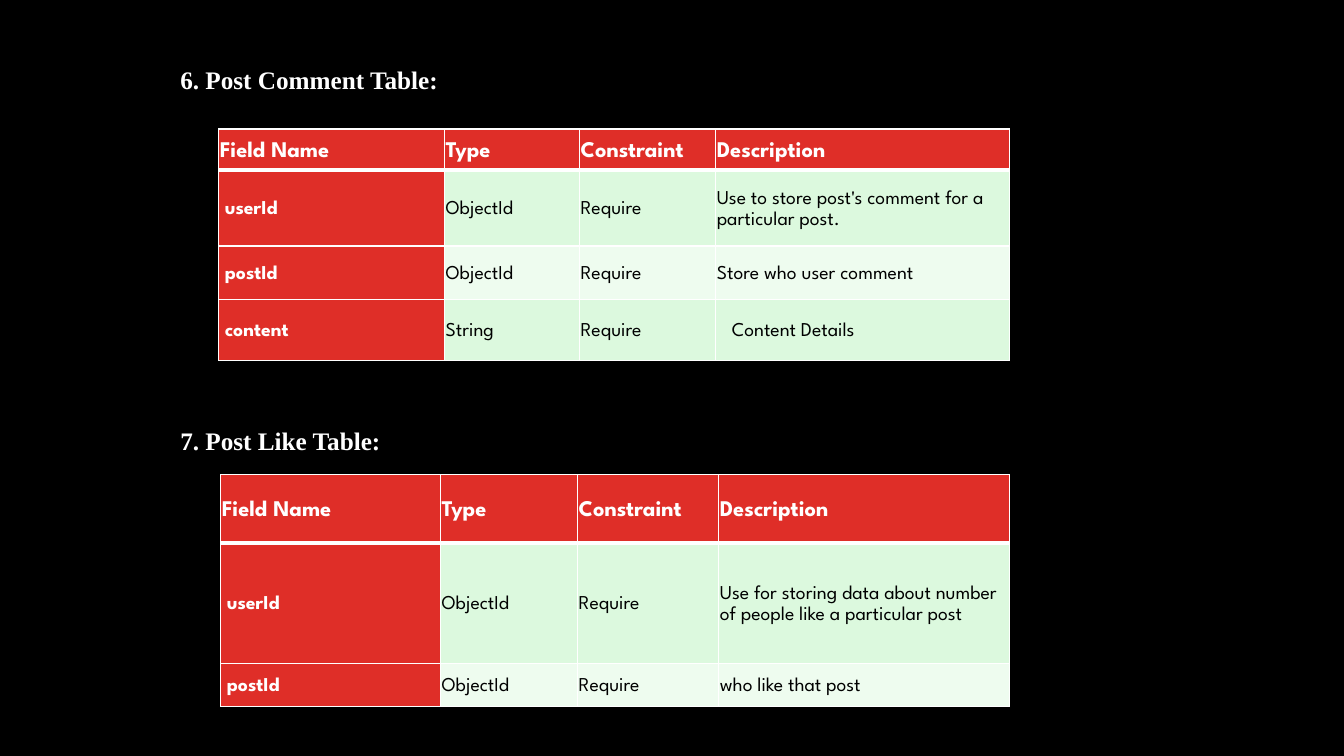
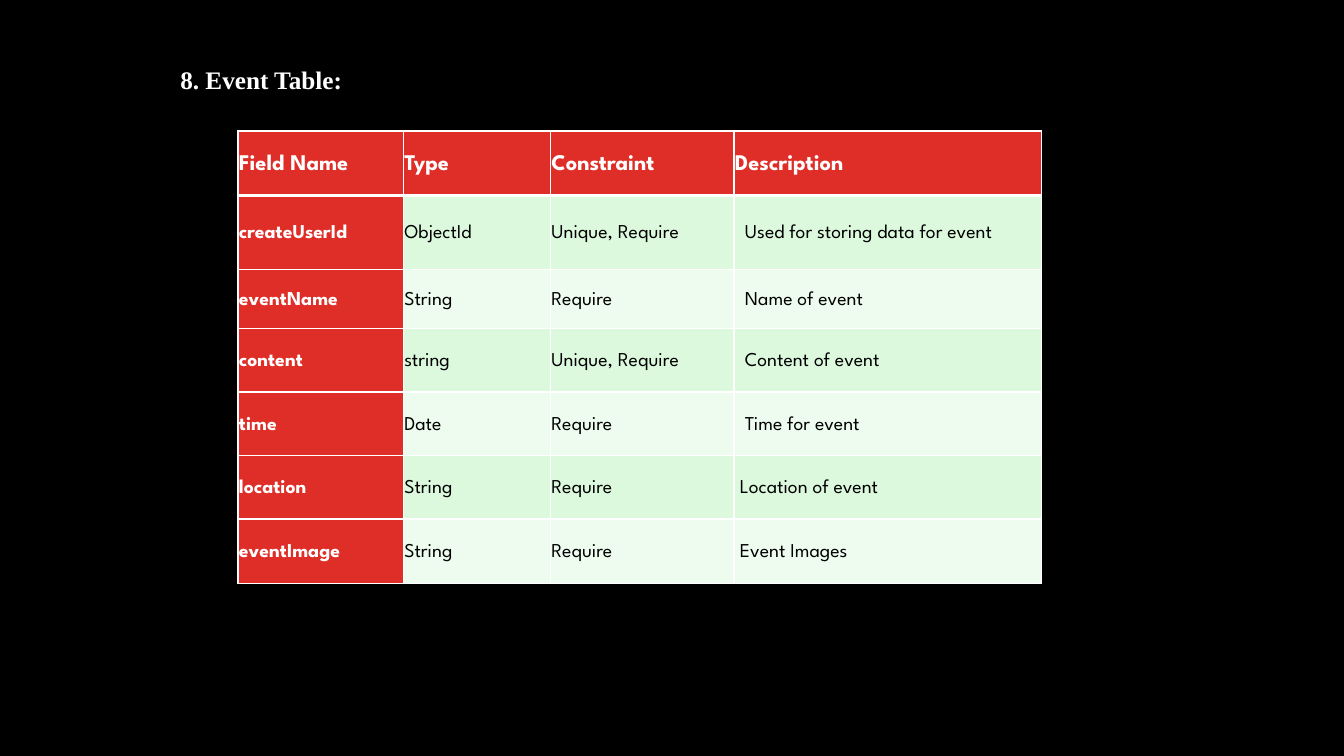
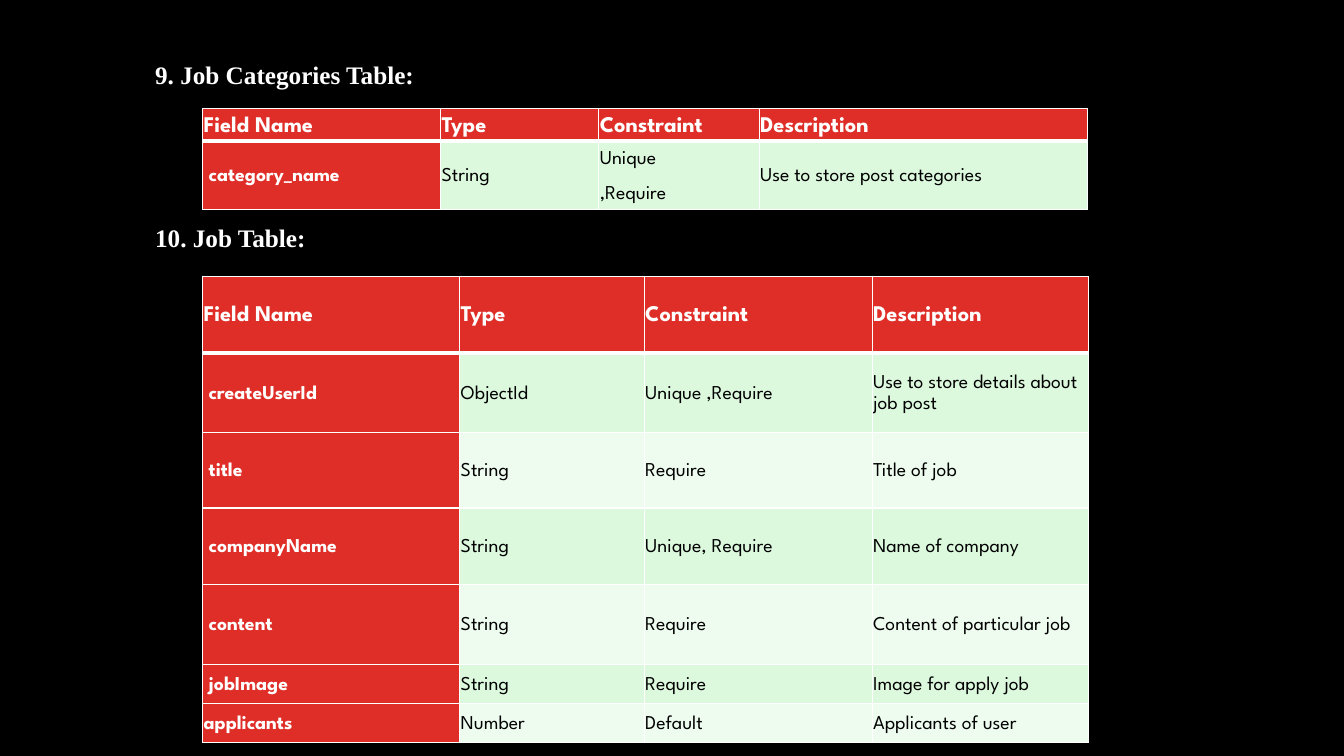
"""Build three slides that describe the fields of the database tables."""
from itertools import product

from lxml.etree import SubElement
from pptx import Presentation
from pptx.dml.color import RGBColor
from pptx.enum.text import MSO_ANCHOR, MSO_AUTO_SIZE
from pptx.oxml.ns import qn
from pptx.util import Inches, Pt

BLACK = RGBColor(0x00, 0x00, 0x00)
WHITE = RGBColor(0xFF, 0xFF, 0xFF)
RED = RGBColor(0xDF, 0x2E, 0x28)
GREEN = RGBColor(0xDC, 0xF9, 0xDE)
PALE_GREEN = RGBColor(0xEE, 0xFC, 0xEF)

TITLE_FONT = "Times New Roman"
TABLE_FONT = "League Spartan"
HEADER = ("Field Name", "Type", "Constraint", "Description")
CELL_INSET = 0.01
INDENT = 0.05


class Deck:
    def __init__(self):
        self.prs = Presentation()
        self.prs.slide_width = Inches(13.33)
        self.prs.slide_height = Inches(7.5)
        self.s = None

    def slide(self):
        self.s = self.prs.slides.add_slide(self.prs.slide_layouts[6])
        fill = self.s.background.fill
        fill.solid()
        fill.fore_color.rgb = BLACK

    def style(self, p, font, size, color, bold, spacing):
        p.line_spacing = spacing
        for r in p.runs:
            r.font.name = font
            r.font.size = Pt(size)
            r.font.color.rgb = color
            r.font.bold = bold

    def title(self, text, left, top):
        sp = self.s.shapes.add_textbox(Inches(left), Inches(top), Inches(6.67), Inches(0.43))
        tf = sp.text_frame
        tf.word_wrap = True
        tf.auto_size = MSO_AUTO_SIZE.SHAPE_TO_FIT_TEXT
        tf.text = text
        self.style(tf.paragraphs[0], TITLE_FONT, 18, WHITE, True, 1.07)

    def borders(self, cell, top, bottom):
        tcPr = cell._tc.get_or_add_tcPr()
        for side, width in (("L", 1), ("R", 1), ("T", top), ("B", bottom)):
            ln = SubElement(tcPr, qn(f"a:ln{side}"), w=str(Pt(width)))
            fill = SubElement(ln, qn("a:solidFill"))
            SubElement(fill, qn("a:srgbClr"), val=str(WHITE))

    def cell(self, cell, text, row, col, indent):
        is_header = row == 0
        is_label = is_header or col == 0
        self.borders(cell, 3 if row == 1 else 1, 3 if is_header else 1)
        cell.fill.solid()
        cell.fill.fore_color.rgb = RED if is_label else GREEN if row % 2 else PALE_GREEN
        cell.vertical_anchor = MSO_ANCHOR.MIDDLE
        cell.margin_left = Inches(CELL_INSET + indent * INDENT)
        cell.margin_right = cell.margin_top = Inches(CELL_INSET)
        cell.margin_bottom = 0
        cell.text_frame.text = text
        for i, p in enumerate(cell.text_frame.paragraphs):
            self.style(p, TABLE_FONT, 16 if is_header else 14,
                       WHITE if is_label else BLACK, is_label, 1.15)
            if i:
                p.space_before = Pt(10)

    def table(self, left, top, widths, heights, fields, name_indents=(), note_indents=()):
        rows = [HEADER, *fields]
        shape = self.s.shapes.add_table(len(rows), len(HEADER), Inches(left), Inches(top),
                                        Inches(sum(widths)), Inches(sum(heights)))
        table = shape.table
        for column, width in zip(table.columns, widths):
            column.width = Inches(width)
        for row, height in zip(table.rows, heights):
            row.height = Inches(height)
        indents = {(i, 0): n for i, n in enumerate(name_indents, 1)}
        indents.update({(i, 3): n for i, n in enumerate(note_indents, 1)})
        for i, j in product(range(len(rows)), range(len(HEADER))):
            self.cell(table.cell(i, j), rows[i][j], i, j, indents.get((i, j), 0))


def main():
    deck = Deck()

    deck.slide()
    deck.title("6. Post Comment Table:", 1.69, 0.57)
    deck.table(2.17, 1.28, (2.24, 1.34, 1.35, 2.91), (0.41, 0.75, 0.53, 0.61), [
        ("userId", "ObjectId", "Require", "Use to store post's comment for a particular post."),
        ("postId", "ObjectId", "Require", "Store who user comment"),
        ("content", "String", "Require", "Content Details"),
    ], name_indents=(1, 1, 1), note_indents=(0, 0, 3))
    deck.title("7. Post Like Table:", 1.69, 4.15)
    deck.table(2.19, 4.71, (2.18, 1.36, 1.4, 2.88), (0.68, 1.19, 0.43), [
        ("userId", "ObjectId", "Require",
         "Use for storing data about number of people like a particular post"),
        ("postId", "ObjectId", "Require", "who like that post"),
    ], name_indents=(1, 1))

    deck.slide()
    deck.title("8. Event Table:", 1.69, 0.57)
    deck.table(2.36, 1.3, (1.64, 1.46, 1.82, 3.05), (0.64, 0.73, 0.59, 0.63, 0.63, 0.63, 0.64), [
        ("createUserId", "ObjectId", "Unique, Require", "Used for storing data for event"),
        ("eventName", "String", "Require", "Name of event"),
        ("content", "string", "Unique, Require", "Content of event"),
        ("time", "Date", "Require", "Time for event"),
        ("location", "String", "Require", "Location of event"),
        ("eventImage", "String", "Require", "Event Images"),
    ], note_indents=(2, 2, 2, 2, 1, 1))

    deck.slide()
    deck.title("9. Job Categories Table:", 1.44, 0.52)
    deck.table(2.01, 1.08, (2.36, 1.57, 1.59, 3.26), (0.3, 0.68), [
        ("category_name", "String", "Unique\n,Require", "Use to store post categories"),
    ], name_indents=(1,))
    deck.title("10. Job Table:", 1.44, 2.14)
    deck.table(2.01, 2.74, (2.55, 1.83, 2.26, 2.15), (0.76, 0.79, 0.75, 0.76, 0.79, 0.39, 0.39), [
        ("createUserId", "ObjectId", "Unique ,Require", "Use to store details about job post"),
        ("title", "String", "Require", "Title of job"),
        ("companyName", "String", "Unique, Require", "Name of company"),
        ("content", "String", "Require", "Content of particular job"),
        ("jobImage", "String", "Require", "Image for apply job"),
        ("applicants", "Number", "Default", "Applicants of user"),
    ], name_indents=(1, 1, 1, 1, 1, 0))

    deck.prs.save("out.pptx")


if __name__ == "__main__":
    main()
